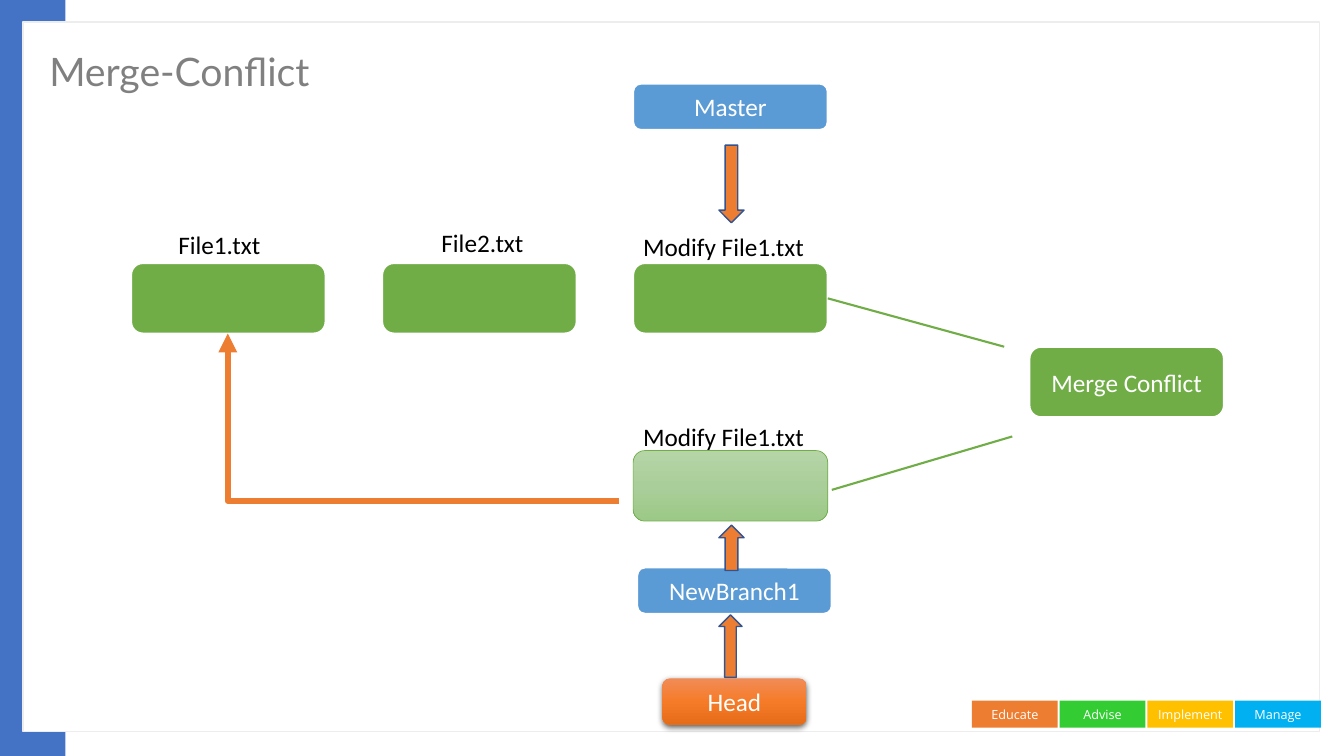
from copy import deepcopy

from lxml.etree import SubElement
from pptx import Presentation
from pptx.dml.color import RGBColor
from pptx.enum.shapes import MSO_CONNECTOR as Link, MSO_SHAPE as Kind
from pptx.enum.text import MSO_ANCHOR as Anchor, PP_ALIGN as Align
from pptx.oxml.ns import qn
from pptx.util import Inches, Pt

WHITE, GREEN, ORANGE, BLUE = "FFFFFF", "70AD47", "ED7D31", "5B9BD5"
rgb = RGBColor.from_string

deck = Presentation()
deck.slide_width, deck.slide_height = Inches(13.33), Inches(7.5)
shapes = deck.slides.add_slide(deck.slide_layouts[6]).shapes


def draw(kind, at, fill, edge=None, width=1):
    """Add a preset shape; a list as fill gives a top-to-bottom gradient."""
    shape = shapes.add_shape(kind, *map(Inches, at))
    shape.shadow.inherit = False
    if isinstance(fill, list):
        shape.fill.gradient()
        shape.fill.gradient_angle = 270
        stops = shape.element.spPr.find(qn("a:gradFill")).find(qn("a:gsLst"))
        stops.insert(1, deepcopy(stops[0]))
        for i, stop in enumerate(shape.fill.gradient_stops):
            stop.position = i / 2
            stop.color.rgb = rgb(fill[i])
    else:
        shape.fill.solid()
        shape.fill.fore_color.rgb = rgb(fill)
    if edge:
        shape.line.color.rgb = rgb(edge)
        shape.line.width = Pt(width)
    else:
        shape.line.fill.background()
    return shape


def write(shape, text, color=WHITE, size=18, name="Calibri",
          align=Align.CENTER, anchor=Anchor.MIDDLE):
    frame = shape.text_frame
    para = frame.paragraphs[0]
    run = para.add_run()
    run.text = text
    run.font.color.rgb = rgb(color)
    formats = {
        frame: {"word_wrap": True, "vertical_anchor": anchor},
        para: {"alignment": align},
        run.font: {"size": Pt(size), "name": name},
    }
    for part, values in formats.items():
        for key, value in values.items():
            setattr(part, key, value)
    return para


# Frame and footer
draw(Kind.RECTANGLE, (0, 0, 0.65, 7.5), "4472C4")
draw(Kind.RECTANGLE, (0.23, 0.22, 12.86, 7.04), WHITE, "EDEDED")
footer = [("Educate", ORANGE), ("Advise", "33CC33"),
          ("Implement", "FFC000"), ("Manage", "00B0F0")]
for i, (text, color) in enumerate(footer):
    chip = draw(Kind.RECTANGLE, (9.64 + 0.87 * i, 6.95, 0.85, 0.27), color)
    write(chip, text, size=9, name="Open Sans")

# Title and file labels
title = shapes.add_textbox(*map(Inches, (0.39, 0.3, 10.32, 0.87)))
write(title, "Merge-Conflict", "808080", 28, "Lato", Align.LEFT).line_spacing = 0.9
labels = [("File1.txt", 1.67, 2.23, 1.16), ("File2.txt", 4.28, 2.21, 1.16),
          ("Modify File1.txt", 6.28, 2.25, 2.1), ("Modify File1.txt", 6.28, 4.13, 2.1)]
for text, x, y, w in labels:
    label = shapes.add_textbox(*map(Inches, (x, y, w, 0.4)))
    write(label, text, "000000", align=Align.LEFT, anchor=Anchor.TOP)

# Commits, branches and head
for i in range(3):
    commit = draw(Kind.ROUNDED_RECTANGLE, (1.3 + 2.49 * i, 2.61, 1.93, 0.7),
                  GREEN, WHITE, 1.5)
draw(Kind.ROUNDED_RECTANGLE, (6.28, 4.47, 1.93, 0.7),
     ["B5D5A7", "AACE9A", "9CC987"], GREEN, 0.5)
boxes = [("Master", 6.28, 0.83, 0.46, BLUE), ("NewBranch1", 6.32, 5.63, 0.46, BLUE),
         ("Merge Conflict", 10.21, 3.44, 0.7, GREEN)]
for text, x, y, h, color in boxes:
    write(draw(Kind.ROUNDED_RECTANGLE, (x, y, 1.93, h), color, WHITE, 1.5), text)

head = draw(Kind.ROUNDED_RECTANGLE, (6.57, 6.73, 1.43, 0.46),
            ["F18C57", "F67B28", "E56C19"])
write(head, "Head")
shade = SubElement(head.element.spPr.find(qn("a:effectLst")), qn("a:outerShdw"),
                   blurRad=str(Pt(4.5)), dist=str(Pt(1.5)), dir="5400000", rotWithShape="0")
black = SubElement(shade, qn("a:srgbClr"), val="000000")
SubElement(black, qn("a:alpha"), val="63000")

# Connectors
links = [(Link.STRAIGHT, (8.21, 2.96, 9.96, 3.44), GREEN, 1.5),
         (Link.STRAIGHT, (8.25, 4.86, 10.04, 4.33), GREEN, 1.5),
         (Link.ELBOW, (6.14, 4.97, 2.26, 3.31), ORANGE, 4.5)]
lines = []
for kind, ends, color, width in links:
    line = shapes.add_connector(kind, *map(Inches, ends))
    line.line.color.rgb = rgb(color)
    line.line.width = Pt(width)
    SubElement(line.element.spPr, qn("a:effectLst"))
    lines.append(line)
lines[0].begin_connect(commit, 3)
bent = lines[2].element.spPr
bent.find(qn("a:prstGeom")).set("prst", "bentConnector2")
SubElement(bent.find(qn("a:ln")), qn("a:tailEnd"), type="triangle")

# Block arrows
arrows = [(6.1, 0.23, 0.62, 180), (5.21, 0.25, 0.45, 180), (1.44, 0.25, 0.77, 0)]
for y, w, h, turn in arrows:
    arrow = draw(Kind.DOWN_ARROW, (7.13, y, w, h), ORANGE, "325491")
    arrow.rotation = turn

deck.save("out.pptx")
